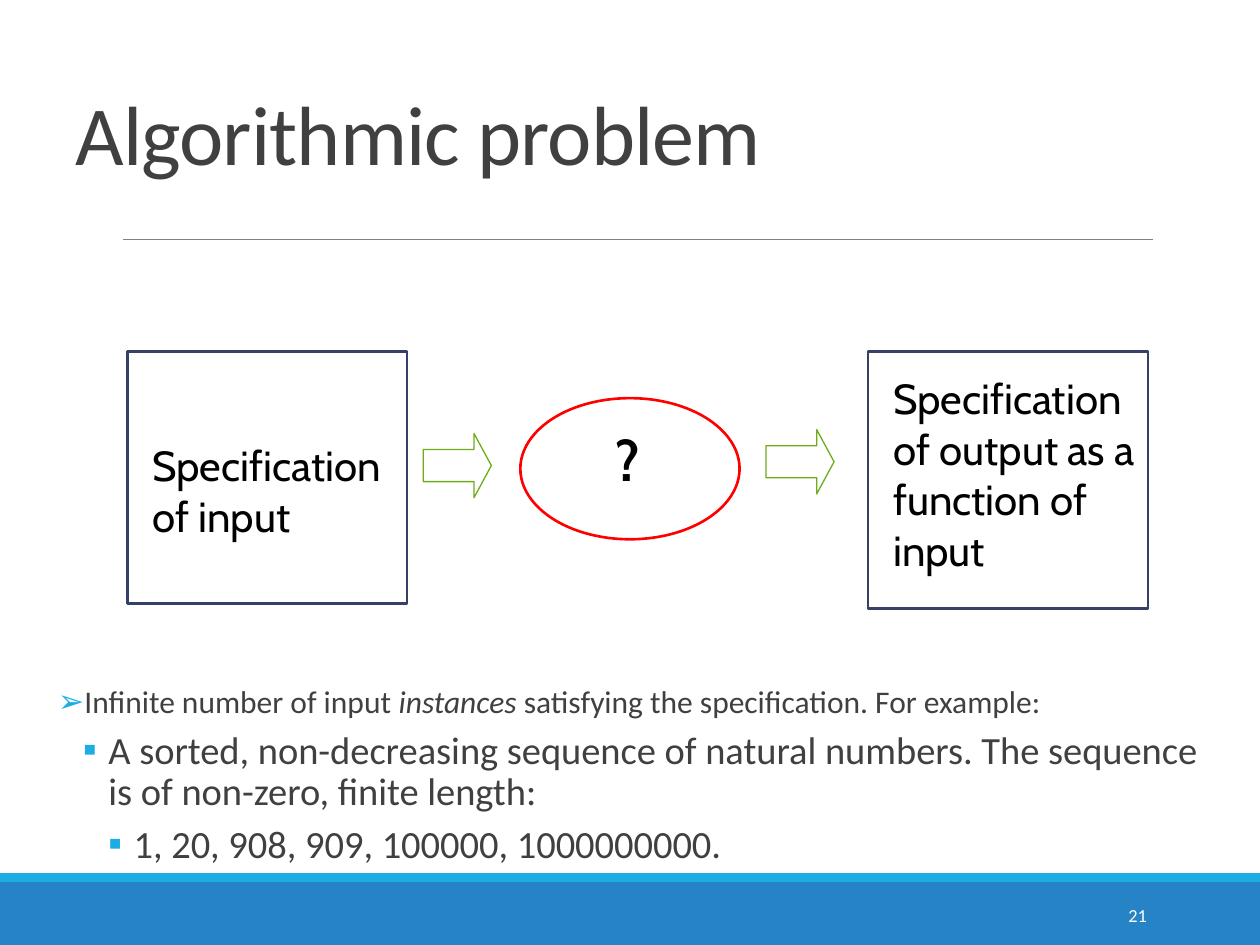
from lxml import etree
from pptx import Presentation
from pptx import util as u
from pptx.dml.color import RGBColor
from pptx.enum import shapes, text
from pptx.oxml import ns

WHITE = RGBColor(0xFF, 0xFF, 0xFF)
BLACK = RGBColor(0x00, 0x00, 0x00)
GRAY = RGBColor(0x40, 0x40, 0x40)
RULE_GRAY = RGBColor(0x80, 0x80, 0x80)
BLUE = RGBColor(0x26, 0x83, 0xC6)
CYAN = RGBColor(0x1C, 0xAD, 0xE4)
NAVY = RGBColor(0x34, 0x40, 0x68)
GREEN = RGBColor(0x6E, 0xAC, 0x1C)
RED = RGBColor(0xFF, 0x00, 0x00)

presentation = Presentation()
presentation.slide_width, presentation.slide_height = u.Inches(10), u.Inches(7.5)
COLUMN = presentation.slide_width / 100
ROW = presentation.slide_height / 75
slide = presentation.slides.add_slide(presentation.slide_layouts[6])


def grid(left, top, width, height):
    """Turn columns and rows into slide lengths."""
    return [round(left * COLUMN), round(top * ROW), round(width * COLUMN), round(height * ROW)]


def add_text(place, runs, font, frame_format=None, paragraph_format=None):
    """Add a text box with one paragraph; runs are (wording, extra font values)."""
    frame = slide.shapes.add_textbox(*grid(*place)).text_frame
    for name, value in {"word_wrap": True, **(frame_format or {})}.items():
        setattr(frame, name, value)
    paragraph = frame.paragraphs[0]
    for name, value in (paragraph_format or {}).items():
        setattr(paragraph, name, value)
    for wording, extra in runs:
        run = paragraph.add_run()
        run.text = wording
        values = {**font, **extra}
        run.font.color.rgb = values.pop("color")
        for name, value in values.items():
            setattr(run.font, name, value)
    return frame


# Footer bars and the rule below the title
for place, color in [((0, 70, 100, 5), BLUE), ((0, 69.3, 100, 0.7), CYAN)]:
    bar = slide.shapes.add_shape(shapes.MSO_SHAPE.RECTANGLE, *grid(*place))
    bar.shadow.inherit = False
    bar.fill.solid()
    bar.fill.fore_color.rgb = color
    bar.line.fill.background()

rule = slide.shapes.add_connector(shapes.MSO_CONNECTOR.STRAIGHT, *grid(9.8, 19, 91.5, 19))
rule.line.color.rgb = RULE_GRAY
rule.line.width = u.Pt(0.5)
etree.SubElement(rule._element.spPr, ns.qn("a:effectLst"))

# Title and slide number
title = add_text((5, 3.3, 90, 11.7), [("Algorithmic problem", {})],
                 {"name": "Calibri", "size": u.Pt(48), "color": GRAY},
                 {"vertical_anchor": text.MSO_ANCHOR.BOTTOM}, {"line_spacing": 0.85})
title.paragraphs[0].runs[0].font._element.set("spc", "-50")

add_text((81.2, 70.6, 10.8, 4), [("21", {})],
         {"name": "Calibri", "size": u.Pt(10.5), "color": WHITE},
         {"vertical_anchor": text.MSO_ANCHOR.MIDDLE}, {"alignment": text.PP_ALIGN.RIGHT})

# Bulleted explanation
bullets = [
    ("➢", 18, [("Infinite number of input ", {}), ("instances", {"italic": True}),
               (" satisfying the specification. For example:", {})]),
    ("▪", 22, [("A sorted, non-decreasing sequence of natural numbers. "
                "The sequence is of non-zero, finite length:", {})]),
    ("▪", 22, [("1, 20, 908, 909, 100000, 1000000000.", {})]),
]
body = slide.shapes.add_textbox(*grid(2.4, 54, 95.1, 20.1)).text_frame
for name, value in {"word_wrap": True, "margin_left": 0, "margin_right": 0}.items():
    setattr(body, name, value)
for level, (mark, size, runs) in enumerate(bullets):
    paragraph = body.add_paragraph() if level else body.paragraphs[0]
    for name, value in {"level": level, "line_spacing": 0.9,
                        "space_before": u.Pt(2), "space_after": u.Pt(4)}.items():
        setattr(paragraph, name, value)
    properties = paragraph._p.get_or_add_pPr()
    properties.set("marL", str(round((4.2 + 2 * level) * COLUMN)))
    properties.set("indent", str(round(-2 * COLUMN)))
    bullet_color = etree.SubElement(properties, ns.qn("a:buClr"))
    etree.SubElement(bullet_color, ns.qn("a:srgbClr"), val=str(CYAN))
    etree.SubElement(properties, ns.qn("a:buFont"), typeface="Calibri")
    etree.SubElement(properties, ns.qn("a:buChar"), char=mark)
    for wording, extra in runs:
        run = paragraph.add_run()
        run.text = wording
        run.font.color.rgb = GRAY
        for name, value in {"name": "Calibri", "size": u.Pt(size), **extra}.items():
            setattr(run.font, name, value)

# Diagram: input, unknown algorithm, output
outlines = [
    (shapes.MSO_SHAPE.RECTANGLE, (10.1, 27.9, 22.2, 20), NAVY, 1.5),
    (shapes.MSO_SHAPE.RIGHT_ARROW, (33.6, 34.4, 5.4, 5.1), GREEN, 0.75),
    (shapes.MSO_SHAPE.OVAL, (41.3, 31.6, 17.4, 11.2), RED, 1.5),
    (shapes.MSO_SHAPE.RIGHT_ARROW, (60.8, 34.1, 5.4, 5.1), GREEN, 0.75),
    (shapes.MSO_SHAPE.RECTANGLE, (68.9, 27.9, 22.2, 20.4), NAVY, 1.5),
]
for kind, place, color, width in outlines:
    shape = slide.shapes.add_shape(kind, *grid(*place))
    shape.shadow.inherit = False
    shape.fill.background()
    shape.line.color.rgb = color
    shape.line.width = u.Pt(width)
    if kind == shapes.MSO_SHAPE.RIGHT_ARROW:
        shape.adjustments[0], shape.adjustments[1] = 0.5, 0.27

labels = [
    ((11.1, 34.4, 21.2, 9), "Specification of input", 24, {}, True),
    ((47.9, 33.3, 4.5, 6.3), "?", 32, {"bold": True}, False),
    ((69.9, 29.1, 21.2, 17), "Specification of output as a function of input", 24, {}, True),
]
for place, wording, size, extra, wrap in labels:
    add_text(place, [(wording, extra)],
             {"name": "Cabin", "size": u.Pt(size), "color": BLACK},
             {"word_wrap": wrap, "auto_size": text.MSO_AUTO_SIZE.SHAPE_TO_FIT_TEXT})

presentation.save("out.pptx")
